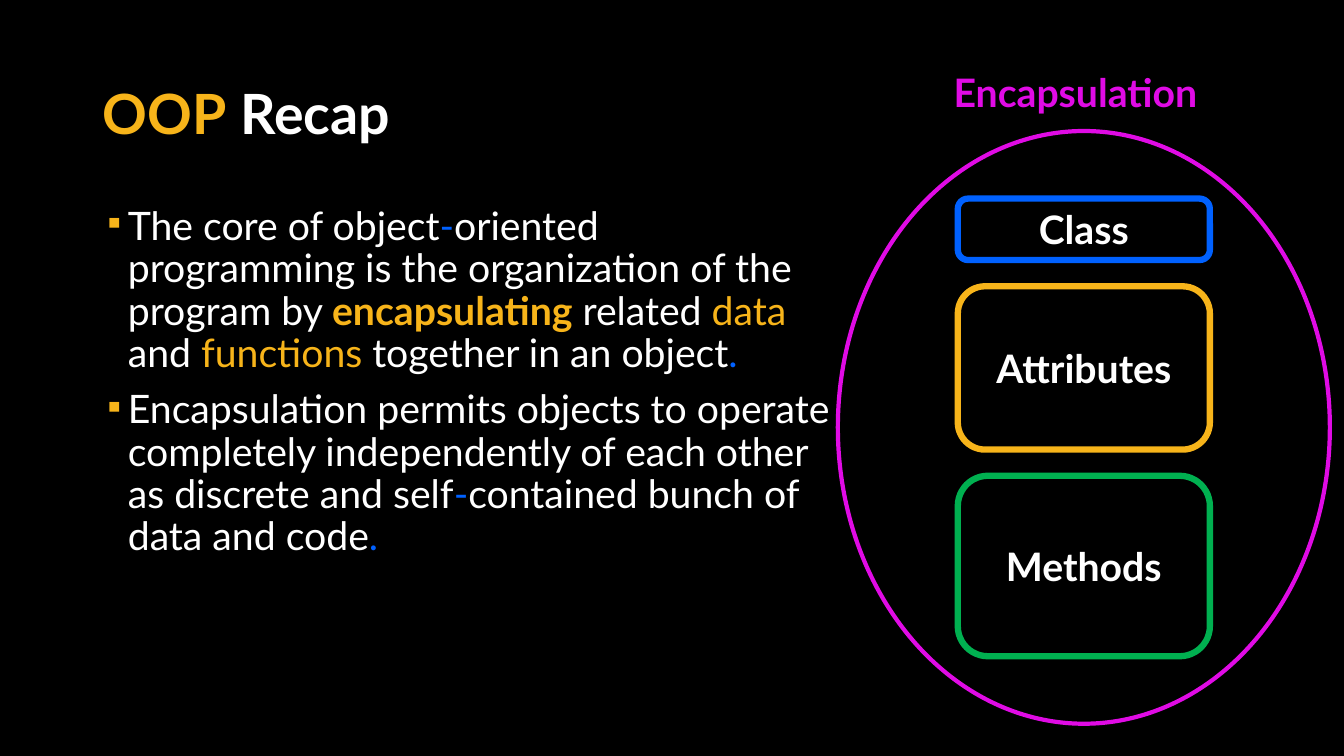
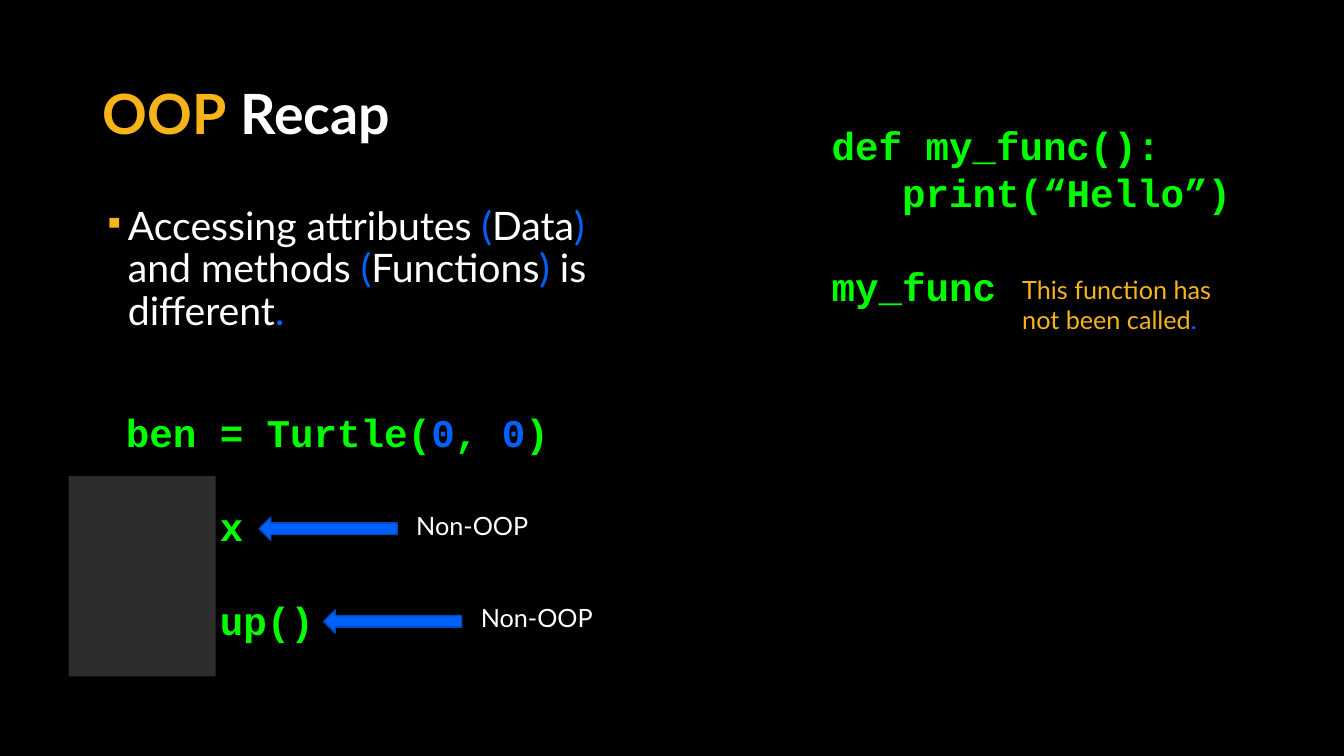
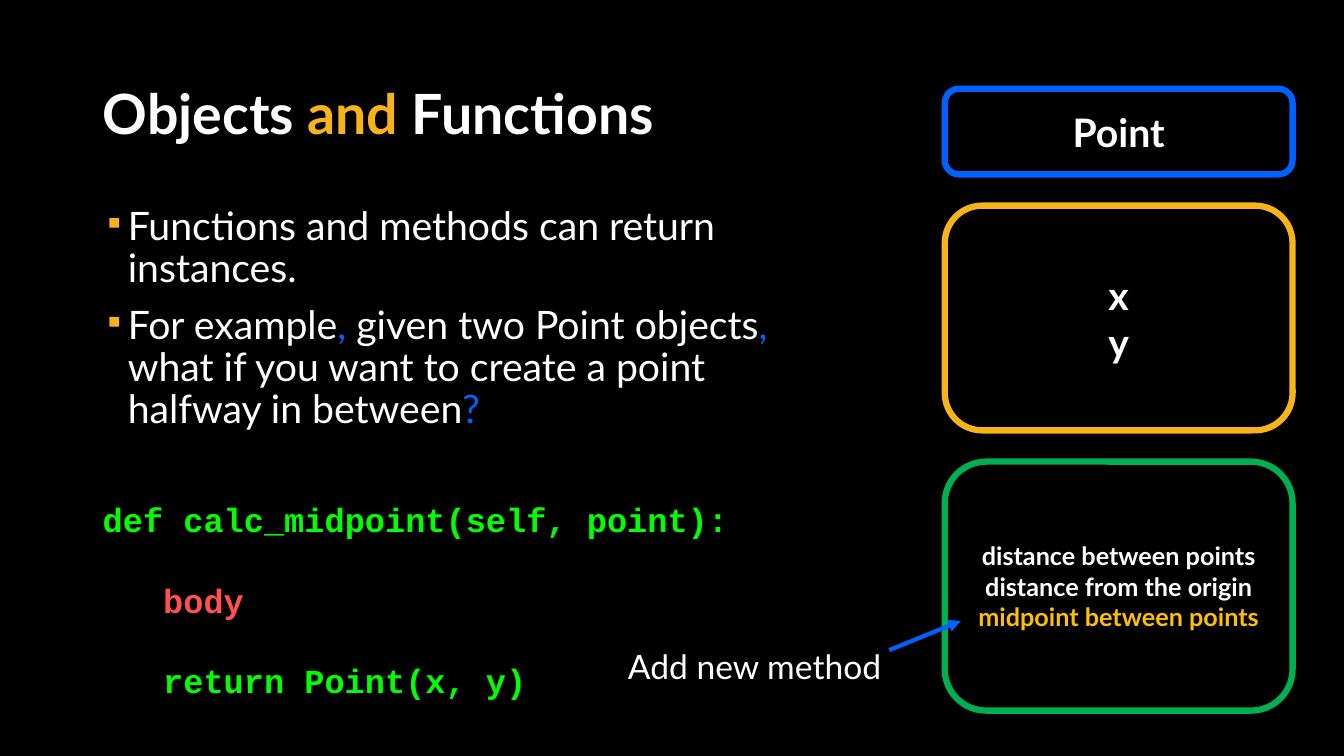
from lxml import etree
from pptx import Presentation
from pptx.dml.color import RGBColor
from pptx.enum.shapes import MSO_CONNECTOR, MSO_SHAPE
from pptx.enum.text import MSO_ANCHOR, MSO_AUTO_SIZE, PP_ALIGN
from pptx.oxml.ns import qn
from pptx.util import Emu, Pt

PX = 9144  # one px is a hundredth of an inch
ROUND, OVAL = MSO_SHAPE.ROUNDED_RECTANGLE, MSO_SHAPE.OVAL
RECT, ARROW = MSO_SHAPE.RECTANGLE, MSO_SHAPE.LEFT_ARROW
STRAIGHT = MSO_CONNECTOR.STRAIGHT
LEFT, CENTER = PP_ALIGN.LEFT, PP_ALIGN.CENTER
TOP, MIDDLE = MSO_ANCHOR.TOP, MSO_ANCHOR.MIDDLE
SANS, MONO = "Lato", "Courier New"
COLORS = {
    "black": "000000", "white": "FFFFFF", "gold": "F7B41A", "blue": "0061FF",
    "navy": "0048BD", "green": "00B050", "pink": "E00BE5", "lime": "00FF00",
    "red": "FF5050", "amber": "FFC000", "gray": "2D2D2D",
}
EDGES = ("blue", "gold", "green")


def rgb(name):
    return RGBColor.from_string(COLORS[name])


def px(*nums):
    return [Emu(num * PX) for num in nums]


def write(frame, paras, size, font=SANS, bold=False, align=LEFT, anchor=TOP):
    """Fill a frame; each paragraph is a list of (text, color[, bold]) runs."""
    frame.word_wrap = True
    frame.auto_size = MSO_AUTO_SIZE.NONE
    frame.vertical_anchor = anchor
    for i, runs in enumerate(paras):
        para = frame.add_paragraph() if i else frame.paragraphs[0]
        para.alignment = align
        for text, color, *heavy in runs:
            run = para.add_run()
            run.text = text
            run.font.name = font
            run.font.size = Pt(size)
            run.font.bold = heavy[0] if heavy else bold
            run.font.color.rgb = rgb(color)
    return frame.paragraphs


def label(slide, box, paras, size, **style):
    frame = slide.shapes.add_textbox(*px(*box)).text_frame
    return write(frame, paras, size, **style)


def shape(slide, kind, box, fill=None, edge=None, width=0):
    item = slide.shapes.add_shape(kind, *px(*box))
    item.shadow.inherit = False
    if fill:
        item.fill.solid()
        item.fill.fore_color.rgb = rgb(fill)
    else:
        item.fill.background()
    if edge:
        item.line.color.rgb = rgb(edge)
        item.line.width = Pt(width)
    else:
        item.line.fill.background()
    return item


def start(deck, runs):
    """Add a slide with its title."""
    slide = deck.slides.add_slide(deck.slide_layouts[5])
    title = slide.shapes.title
    title.left, title.top, title.width, title.height = px(92, 80, 1150, 72)
    for para in write(title.text_frame, [runs], 39.6, bold=True, anchor=MIDDLE):
        para.line_spacing = 0.9
    return slide


def body(slide, width, paras):
    for para in label(slide, (92, 200, width, 529), paras, 28):
        para.line_spacing = 0.9
        para.space_before = Pt(10)
        props = para._p.get_or_add_pPr()
        props.set("marL", str(25 * PX))
        props.set("indent", str(-25 * PX))
        tint = etree.SubElement(props, qn("a:buClr"))
        etree.SubElement(tint, qn("a:srgbClr"), val=COLORS["gold"])
        etree.SubElement(props, qn("a:buFont"), typeface=MONO)
        etree.SubElement(props, qn("a:buChar"), char="▪")


def code(slide, box, size, lines):
    """Each line is (indent in letters, lines skipped above, runs)."""
    paras = label(slide, box, [runs for _, _, runs in lines], size,
                  font=MONO, bold=True)
    for para, (indent, skip, _) in zip(paras, lines):
        para.space_before = Pt(round(skip * size * 1.2, 1))
        props = para._p.get_or_add_pPr()
        props.set("marL", str(Pt(indent * size * 0.6)))
        props.set("indent", "0")


def stack(slide, left, top, width, gap, cards):
    """Class, attributes and methods cards; each is (height, size, lines)."""
    for edge, (height, size, paras) in zip(EDGES, cards):
        card = shape(slide, ROUND, (left, top, width, height), None, edge, 4.5)
        write(card.text_frame, paras, size, bold=True, align=CENTER,
              anchor=MIDDLE)
        top += height + gap


def point(slide, left, top):
    """Left arrow with its note."""
    shape(slide, ARROW, (left, top, 137, 23), "blue", "navy", 1)
    label(slide, (left + 146, top - 12, 351, 40), [[("Non-OOP", "white")]], 18)


def link(slide, ends, color, width):
    line = slide.shapes.add_connector(STRAIGHT, *px(*ends))
    line.line.color.rgb = rgb(color)
    line.line.width = Pt(width)
    props = line.element.spPr
    etree.SubElement(props.find(qn("a:ln")), qn("a:tailEnd"), type="triangle")
    etree.SubElement(props, qn("a:effectLst"))


RECAP = [("OOP", "gold"), (" Recap", "white")]


def capsule(deck):
    slide = start(deck, RECAP)
    body(slide, 743, [
        [("The core of object", "white"), ("-", "blue"),
         ("oriented programming is the organization of the program by ", "white"),
         ("encapsulating", "gold", True), (" related ", "white"),
         ("data", "gold"), (" and ", "white"), ("functions", "gold"),
         (" together in an object", "white"), (".", "blue")],
        [("Encapsulation permits objects to operate completely independently "
          "of each other as discrete and self", "white"), ("-", "blue"),
         ("contained bunch of data and code", "white"), (".", "blue")],
    ])
    parts = ((61, "Class"), (162, "Attributes"), (179, "Methods"))
    stack(slide, 950, 197, 250, 26,
          [(height, 28, [[(name, "white")]]) for height, name in parts])
    shape(slide, OVAL, (831, 130, 488, 588), None, "pink", 3)
    label(slide, (936, 63, 277, 57), [[("Encapsulation", "pink")]], 28,
          bold=True)


def access(deck):
    slide = start(deck, RECAP)
    body(slide, 527, [
        [("Accessing attributes ", "white"), ("(", "blue"), ("Data", "white"),
         (")", "blue"), (" and methods ", "white"), ("(", "blue"),
         ("Functions", "white"), (")", "blue"), (" is different", "white"),
         (".", "blue")],
    ])
    code(slide, (115, 400, 494, 246), 28, [
        (0, 0, [("ben = Turtle(", "lime"), ("0", "blue"), (", ", "lime"),
                ("0", "blue"), (")", "lime")]),
        (4, 1, [("x", "lime")]),
        (4, 1, [("up()", "lime")]),
    ])
    point(slide, 321, 605)
    point(slide, 257, 513)
    code(slide, (815, 115, 494, 199), 28, [
        (0, 0, [("def my_func():", "lime")]),
        (3, 0, [("print(“Hello”)", "lime")]),
        (0, 1, [("my_func", "lime")]),
    ])
    label(slide, (1004, 267, 249, 71),
          [[("This function has not been called", "gold"), (".", "blue")]], 18)
    shape(slide, RECT, (68, 472, 146, 199), "gray")


def midway(deck):
    slide = start(deck, [("Objects ", "white"), ("and", "gold"),
                         (" Functions", "white")])
    body(slide, 693, [
        [("Functions and methods can return instances.", "white")],
        [("For example", "white"), (",", "blue"),
         (" given two Point objects", "white"), (",", "blue"),
         (" what if you want to create a point halfway in between", "white"),
         ("?", "blue")],
    ])
    code(slide, (92, 490, 668, 212), 24, [
        (0, 0, [("def calc_midpoint(self, point):", "lime")]),
        (3, 1, [("body", "red")]),
        (3, 1, [("return Point(x, y)", "lime")]),
    ])
    stack(slide, 937, 88, 345, 31, [
        (85, 28, [[("Point", "white")]]),
        (223, 28, [[("x", "white")], [("y", "white")]]),
        (247, 18, [[("distance between points", "white")],
                   [("distance from the origin", "white")],
                   [("midpoint between points", "amber")]]),
    ])
    label(slide, (613, 636, 278, 50), [[("Add new method", "white")]], 24)
    link(slide, (882, 645, 953, 616), "blue", 3)


def main():
    deck = Presentation()
    deck.slide_width, deck.slide_height = px(1333, 750)
    back = deck.slide_master.background.fill
    back.solid()
    back.fore_color.rgb = rgb("black")
    for build in (capsule, access, midway):
        build(deck)
    deck.save("out.pptx")


if __name__ == "__main__":
    main()
